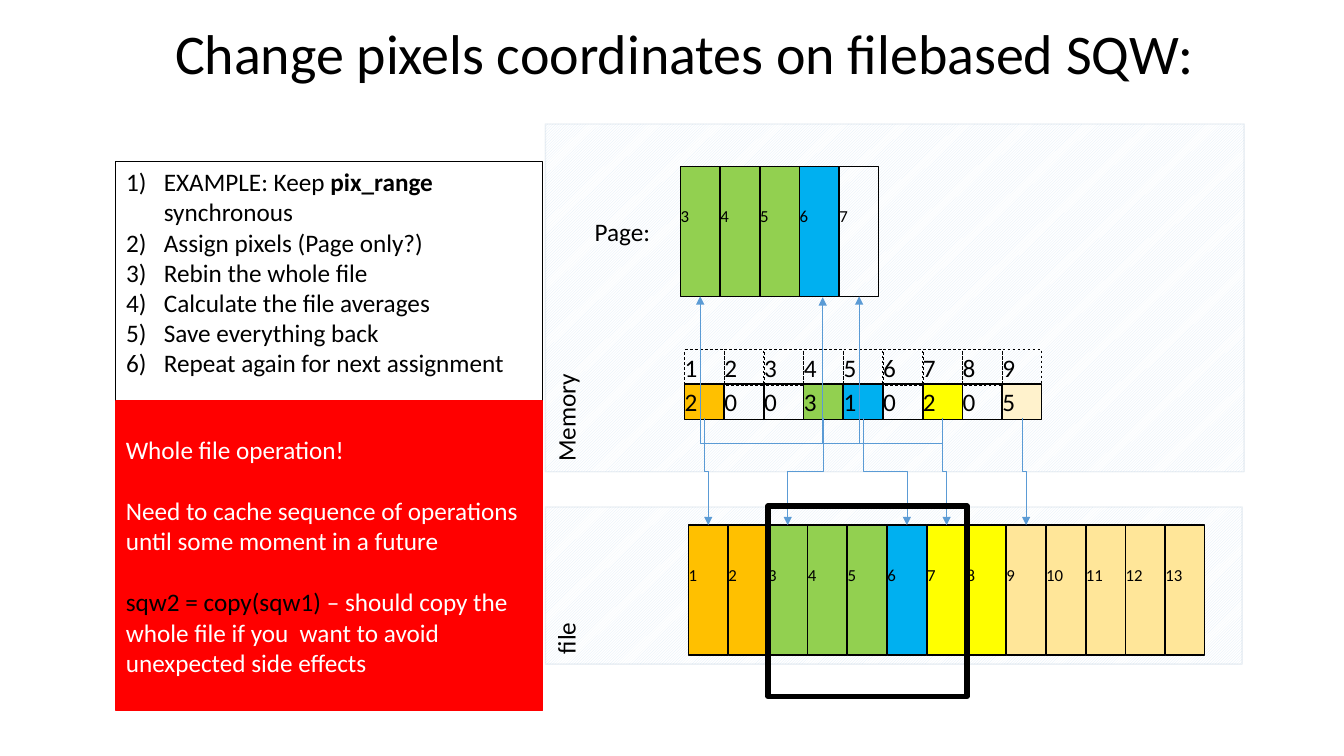
from dataclasses import dataclass
from typing import Optional

from lxml import etree
from pptx import Presentation, util as u
from pptx.dml.color import RGBColor
from pptx.enum import dml, shapes, text
from pptx.oxml import ns

INK, WHITE, RED, BLUE = "000000", "FFFFFF", "FF0000", "5B9BD5"
AMBER, GREEN, SKY, YELLOW = "FFC000", "92D050", "00B0F0", "FFFF00"
SAND, CREAM = "FFE699", "FFF2CC"
STEP, WIDE = 0.394, 0.39
GAP = 22  # points, one line of 18 point text


@dataclass
class Row:
    left: float
    top: float
    high: float
    labels: list[str]
    fills: list[Optional[str]]
    size: int = 18
    line: float = 1
    dash: bool = False
    lift: float = 0

    def mid(self, spot: int) -> float:
        return self.left + WIDE / 2 + STEP * spot


@dataclass
class Panel:
    label: str
    box: tuple[float, float, float, float]


@dataclass
class Link:
    start: float
    end: float
    top: float
    up: bool = False


def paint(color, code: str) -> None:
    color.rgb = RGBColor.from_string(code)


def style(para, size: float, code: str = INK) -> None:
    for run in para.runs:
        run.font.name = "Calibri"
        run.font.size = u.Pt(size)
        paint(run.font.color, code)


def place(item, box: tuple[float, float, float, float]) -> None:
    item.left, item.top, item.width, item.height = map(u.Inches, box)


def rect(slide, box: tuple[float, float, float, float], fill: Optional[str], line: str, width: float):
    item = slide.shapes.add_shape(shapes.MSO_SHAPE.RECTANGLE, *map(u.Inches, box))
    item.shadow.inherit = False
    if fill:
        item.fill.solid()
        paint(item.fill.fore_color, fill)
    else:
        item.fill.background()
    paint(item.line.color, line)
    item.line.width = u.Pt(width)
    return item


def add_panel(slide, panel: Panel) -> None:
    item = rect(slide, panel.box, WHITE, "43739E", 1)
    item.fill.patterned()
    item.fill.pattern = dml.MSO_PATTERN.LIGHT_UPWARD_DIAGONAL
    paint(item.fill.fore_color, "DEEBF7")
    paint(item.fill.back_color, WHITE)
    tint = item.line._ln.find(".//" + ns.qn("a:srgbClr"))
    etree.SubElement(tint, ns.qn("a:alpha")).set("val", "10000")
    frame = item.text_frame
    frame.text = panel.label
    frame.vertical_anchor = text.MSO_ANCHOR.TOP
    frame._txBody.bodyPr.set("vert", "vert270")
    style(frame.paragraphs[0], 18)


def add_row(slide, row: Row) -> None:
    for spot, (label, fill) in enumerate(zip(row.labels, row.fills)):
        item = rect(slide, (row.left + STEP * spot, row.top, WIDE, row.high), fill, INK, row.line)
        if row.dash:
            item.line.dash_style = dml.MSO_LINE.DASH
        frame = item.text_frame
        frame.text = label
        frame.margin_left = frame.margin_right = 0
        frame.margin_bottom = u.Inches(0.05 + row.lift)
        style(frame.paragraphs[0], row.size)


def add_link(slide, link: Link) -> None:
    """Elbow that leaves the count row vertically and ends in an arrowhead."""
    base = 4.15
    long, side = abs(link.top - base), abs(link.end - link.start)
    line = slide.shapes.add_connector(shapes.MSO_CONNECTOR.ELBOW, 0, 0, 0, 0)
    place(line, ((link.start + link.end - long) / 2, (base + link.top - side) / 2, long, side))
    paint(line.line.color, BLUE)
    line.line.width = u.Pt(0.5)
    right = link.end > link.start
    props = line._element.spPr
    props.xfrm.set("rot", "16200000" if right else "5400000")
    if right or link.up:
        props.xfrm.set("flipH", "1")
    if link.up:
        guide = etree.SubElement(props.prstGeom.get_or_add_avLst(), ns.qn("a:gd"))
        guide.set("name", "adj1")
        guide.set("fmla", "val -20700")
    etree.SubElement(line.line._ln, ns.qn("a:tailEnd")).set("type", "triangle")
    etree.SubElement(props, ns.qn("a:effectLst"))


def add_list(body) -> None:
    place(body, (1.15, 1.6, 4.23, 2.83))
    body.fill.background()
    paint(body.line.color, INK)
    body.line.width = u.Pt(0.75)
    frame = body.text_frame
    frame.text = "\n".join([
        "EXAMPLE: Keep ", "Assign pixels (Page only?)", "Rebin the whole file",
        "Calculate the file averages", "Save everything back", "Repeat again for next assignment"])
    frame.auto_size = text.MSO_AUTO_SIZE.NONE
    frame.word_wrap = False
    head, *steps = frame.paragraphs
    for part in ("pix_range ", "synchronous"):
        head.add_run().text = part
    head.runs[1].font.bold = True
    for para in frame.paragraphs:
        style(para, 18)
        props = para._p.get_or_add_pPr()
        inset = 0 if para is head else u.Inches(0.375)
        props.set("marL", str(inset))
        props.set("indent", str(-inset))
        para.space_before = u.Pt(GAP if para is steps[0] else 0)
        mark = etree.SubElement(props, ns.qn("a:buNone" if para is head else "a:buAutoNum"))
        if para is not head:
            mark.set("type", "arabicParenR")


def add_note(slide) -> None:
    frame = rect(slide, (1.15, 3.98, 4.23, 3.07), RED, RED, 1).text_frame
    frame.text = "\n".join([
        "Whole file operation!",
        "Need to cache sequence of operations until some moment in a future",
        "sqw2 = copy(sqw1) ", "unexpected side effects"])
    frame.word_wrap = True
    code = frame.paragraphs[2]
    code.add_run().text = "– should copy the whole file if you  want to avoid"
    for spot, para in enumerate(frame.paragraphs):
        para.alignment = text.PP_ALIGN.LEFT
        para.space_before = u.Pt(GAP if spot in (1, 2) else 0)
        style(para, 18, WHITE)
    paint(code.runs[0].font.color, INK)


def main() -> None:
    deck = Presentation()
    deck.slide_width, deck.slide_height = u.Inches(13.33), u.Inches(7.5)
    slide = deck.slides.add_slide(deck.slide_layouts[1])

    # Title
    title = slide.shapes.title
    place(title, (1.31, 0.41, 10.96, 0.5))
    frame = title.text_frame
    frame.text = "Change pixels coordinates on filebased SQW:"
    frame.auto_size = text.MSO_AUTO_SIZE.NONE
    frame.vertical_anchor = text.MSO_ANCHOR.BOTTOM
    frame.paragraphs[0].line_spacing = 0.9
    style(frame.paragraphs[0], 40)

    # Storage panels
    for panel in (Panel("file", (5.41, 5.03, 6.91, 1.56)), Panel("Memory", (5.41, 1.23, 6.93, 3.45))):
        add_panel(slide, panel)

    # Pixel rows
    bins = Row(6.79, 3.47, 0.35, [str(n) for n in range(1, 10)], [None] * 9, line=0.5, dash=True)
    disk = Row(6.83, 5.21, 1.29, [str(n) for n in range(1, 14)],
               [AMBER] * 2 + [GREEN] * 3 + [SKY] + [YELLOW] * 2 + [SAND] * 5, size=12, lift=0.3)
    page = Row(6.75, 1.65, 1.29, list("34567"), [GREEN] * 3 + [SKY, None], size=12, lift=0.3)
    count = Row(6.79, 3.81, 0.35, list("200310205"),
                [AMBER, None, None, GREEN, SKY, None, YELLOW, None, CREAM])
    for row in (bins, disk, page, count):
        add_row(slide, row)

    # Links from counts to file and page
    for start, end in ((0, 0), (3, 2), (4, 5), (6, 6), (8, 8)):
        add_link(slide, Link(count.mid(start), disk.mid(end), 5.21))
    for start, end, top in ((3, page.mid(0), 2.94), (4, 8.16, 2.95), (6, page.mid(4), 2.94)):
        add_link(slide, Link(count.mid(start), end, top, up=True))

    # Page label and page window
    label = slide.shapes.add_textbox(*map(u.Inches, (5.8, 2.1, 0.76, 0.4))).text_frame
    label.text = "Page:"
    label.word_wrap = False
    style(label.paragraphs[0], 18)
    rect(slide, (7.62, 5.02, 1.97, 1.89), None, INK, 4)

    # Example and warning
    add_list(slide.placeholders[1])
    add_note(slide)
    deck.save("out.pptx")


if __name__ == "__main__":
    main()
